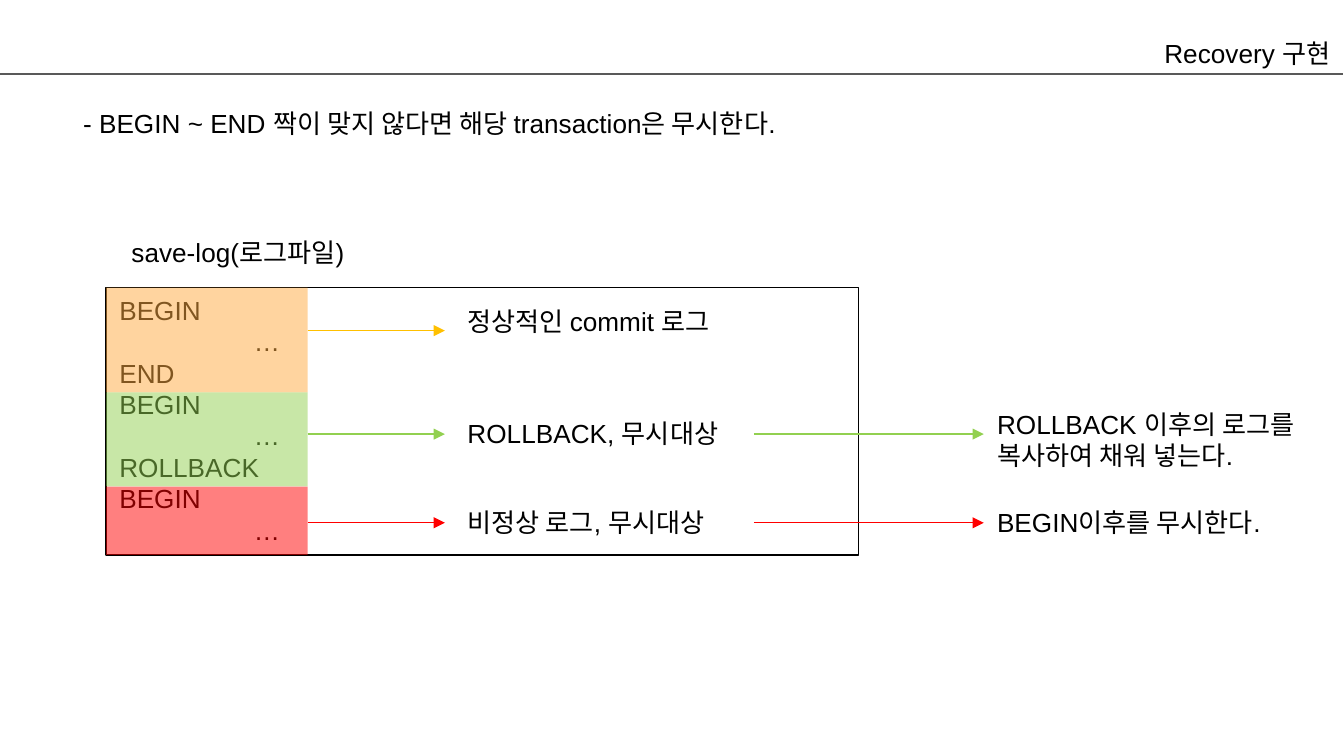
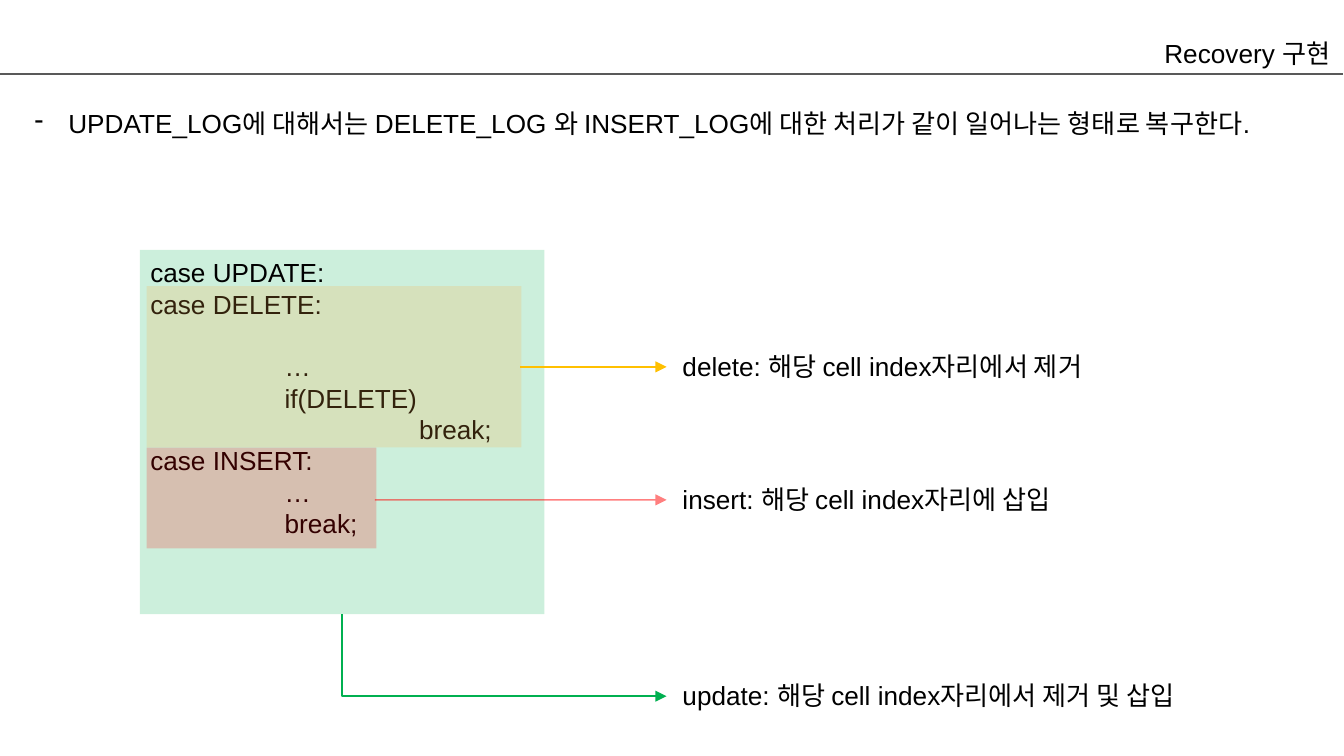
import dataclasses

import lxml.etree
import pptx
import pptx.dml.color
import pptx.enum.shapes
import pptx.enum.text
import pptx.oxml.ns
import pptx.util

Inches = pptx.util.Inches
Align = pptx.enum.text.PP_ALIGN
AutoSize = pptx.enum.text.MSO_AUTO_SIZE
Connector = pptx.enum.shapes.MSO_CONNECTOR
qn = pptx.oxml.ns.qn


@dataclasses.dataclass(frozen=True)
class Theme:
    """Colours and type sizes of the whole deck."""
    font: str = "Arial"
    size: float = 14
    code_line: float = 16.8
    line: float = 0.75
    ink: str = "000000"
    rule: str = "595959"
    orange: str = "FFAB40"
    amber: str = "FFC000"
    lime: str = "92D050"
    green: str = "00B050"
    red: str = "FF0000"


@dataclasses.dataclass(frozen=True)
class Box:
    """A region in inches; inner() gives a box relative to it."""
    left: float
    top: float
    width: float
    height: float

    def inner(self, dx, dy, width, height):
        return Box(self.left + dx, self.top + dy, width, height)

    def point(self, dx, dy):
        return self.left + dx, self.top + dy

    def lengths(self):
        return [Inches(v) for v in (self.left, self.top, self.width, self.height)]


THEME = Theme()


def rgb(color):
    """Turn a hex string into a colour."""
    return pptx.dml.color.RGBColor.from_string(color)


def set_alpha(parent, percent):
    """Make the first plain colour under parent translucent."""
    tint = parent.find(".//" + qn("a:srgbClr"))
    lxml.etree.SubElement(tint, qn("a:alpha")).set("val", str(percent * 1000))


def write(frame, lines, align=Align.LEFT, pad=0.05, grow=True, bullet=None):
    """Fill a text frame; a line is text or (text, indent in inches, lines skipped)."""
    frame.word_wrap = True
    frame.auto_size = AutoSize.SHAPE_TO_FIT_TEXT if grow else AutoSize.NONE
    frame.vertical_anchor = pptx.enum.text.MSO_ANCHOR.TOP
    frame.margin_left = frame.margin_right = Inches(0.1)
    frame.margin_top = frame.margin_bottom = Inches(pad)
    for number, line in enumerate([lines] if isinstance(lines, str) else lines):
        text, indent, skipped = (line, 0, 0) if isinstance(line, str) else line
        paragraph = frame.add_paragraph() if number else frame.paragraphs[0]
        paragraph.alignment = align
        if skipped:
            paragraph.space_before = pptx.util.Pt(skipped * THEME.code_line)
        properties = paragraph._p.get_or_add_pPr()
        if indent:
            properties.set("marL", str(Inches(indent)))
            properties.set("indent", "0")
        if bullet:
            properties.set("marL", str(Inches(0.5)))
            properties.set("indent", str(Inches(-0.25)))
            lxml.etree.SubElement(properties, qn("a:buChar")).set("char", bullet)
        run = paragraph.add_run()
        run.text = text
        run.font.name = THEME.font
        run.font.size = pptx.util.Pt(THEME.size)
        run.font.color.rgb = rgb(THEME.ink)


def add_text(slide, box, lines, **style):
    """Place a text box."""
    write(slide.shapes.add_textbox(*box.lengths()).text_frame, lines, **style)


def add_area(slide, box, fill=None, alpha=100, outline=None):
    """Place a rectangle, translucent or only outlined."""
    area = slide.shapes.add_shape(
        pptx.enum.shapes.MSO_SHAPE.RECTANGLE, *box.lengths())
    area.shadow.inherit = False
    if fill:
        area.fill.solid()
        area.fill.fore_color.rgb = rgb(fill)
        set_alpha(area.element.spPr, alpha)
    else:
        area.fill.background()
    if outline:
        area.line.color.rgb = rgb(outline)
        area.line.width = pptx.util.Pt(THEME.line)
    else:
        area.line.fill.background()
    return area


def add_line(slide, start, end, color, arrow=True, alpha=None, bent=False):
    """Draw a line; a bent one goes down first, then to the right."""
    (x1, y1), (x2, y2) = start, end
    if bent:
        # A one-corner elbow is stored turned by 270 degrees about its centre.
        cx, cy, dx, dy = (x1 + x2) / 2, (y1 + y2) / 2, (x2 - x1) / 2, (y2 - y1) / 2
        x1, y1, x2, y2 = cx + dy, cy - dx, cx - dy, cy + dx
    line = slide.shapes.add_connector(
        Connector.ELBOW if bent else Connector.STRAIGHT,
        Inches(x1), Inches(y1), Inches(x2), Inches(y2))
    line.line.color.rgb = rgb(color)
    line.line.width = pptx.util.Pt(THEME.line)
    properties = line._element.spPr
    if bent:
        properties.find(qn("a:xfrm")).set("rot", str(270 * 60000))
        properties.find(qn("a:prstGeom")).set("prst", "bentConnector2")
    if alpha:
        set_alpha(properties, alpha)
    if arrow:
        stroke = properties.find(qn("a:ln"))
        lxml.etree.SubElement(stroke, qn("a:tailEnd")).set("type", "triangle")
    lxml.etree.SubElement(properties, qn("a:effectLst"))


def start_slide(deck, title):
    """Add a slide with its title above the header rule."""
    slide = deck.slides.add_slide(deck.slide_layouts[5])
    heading = slide.shapes.title
    heading.left, heading.top, heading.width, heading.height = Box(
        1.78, 0.18, 8.22, 0.37).lengths()
    write(heading.text_frame, title, align=Align.RIGHT, pad=0.1, grow=False)
    add_line(slide, (-0.02, 0.55), (9.99, 0.55), THEME.rule, arrow=False)
    return slide


def draw_log_file(slide, box):
    """Draw the log file, its three kinds of entries and what becomes of them."""
    log = add_area(slide, box, outline=THEME.ink)
    write(log.text_frame, ["BEGIN", ("…", 1, 0), "END",
                           "BEGIN", ("…", 1, 0), "ROLLBACK",
                           "BEGIN", ("…", 1, 0)])
    add_text(slide, box.inner(0.09, -0.43, 2.26, 0.34), "save-log(로그파일)")

    entry_width, note_left, outcome_left = 1.5, 2.59, 6.53
    # height, fill, arrow colour, arrow y, meaning, its width and y,
    # outcome, its y and height
    entries = [
        (0.78, THEME.orange, THEME.amber, 0.32,
         "정상적인 commit 로그", 2.46, 0.08, None, 0, 0),
        (0.70, THEME.lime, THEME.lime, 1.09,
         "ROLLBACK, 무시대상", 2.22, 0.92,
         "ROLLBACK 이후의 로그를 복사하여 채워 넣는다.", 0.85, 0.57),
        (0.51, THEME.red, THEME.red, 1.75,
         "비정상 로그, 무시대상", 2.22, 1.58,
         "BEGIN이후를 무시한다.", 1.58, 0.34),
    ]
    top = 0
    for (height, fill, color, arrow_y, meaning, note_width, note_y,
         outcome, outcome_y, outcome_height) in entries:
        add_area(slide, box.inner(0, top, entry_width, height), fill, 50)
        top += height
        add_line(slide, box.point(entry_width, arrow_y),
                 box.point(2.52, arrow_y), color)
        add_text(slide, box.inner(note_left, note_y, note_width, 0.34), meaning)
        if outcome:
            add_line(slide, box.point(4.82, arrow_y),
                     box.point(outcome_left, arrow_y), color)
            add_text(slide, box.inner(outcome_left, outcome_y, 2.68, outcome_height),
                     outcome)


def draw_update_case(slide, box):
    """Draw the switch code, its coloured cases and what each one does."""
    add_area(slide, box, THEME.green, 20)
    add_text(slide, box.inner(-0.02, 0, 3.47, 2.22), [
        "case UPDATE:", "case DELETE:", ("…", 1, 1), ("if(DELETE)", 1, 0),
        ("break;", 2, 0), "case INSERT:", ("…", 1, 0), ("break;", 1, 0)])
    add_area(slide, box.inner(0.05, 0.27, 2.79, 1.2), THEME.orange, 20)
    add_area(slide, box.inner(0.05, 1.47, 1.71, 0.75), THEME.red, 20)

    note_left, arrow_end = 3.94, 3.92
    # arrow start, arrow end y, its format, explanation
    cases = [
        ((2.83, 0.87), 0.87, dict(color=THEME.amber),
         "delete: 해당 cell index자리에서 제거"),
        ((1.75, 1.86), 1.86, dict(color=THEME.red, alpha=50),
         "insert: 해당 cell index자리에 삽입"),
        ((box.width / 2, box.height), 3.32, dict(color=THEME.green, bent=True),
         "update: 해당 cell index자리에서 제거 및 삽입"),
    ]
    for start, end_y, style, explanation in cases:
        add_line(slide, box.point(*start), box.point(arrow_end, end_y), **style)
        add_text(slide, box.inner(note_left, end_y - 0.17, 4.37, 0.34), explanation)


def main():
    """Build and save the deck."""
    deck = pptx.Presentation()
    deck.slide_width = Inches(10)
    deck.slide_height = Inches(10) * 9 // 16

    rollback = start_slide(deck, "Recovery 구현")
    add_text(rollback, Box(0.52, 0.7, 7.11, 0.55),
             "- BEGIN ~ END 짝이 맞지 않다면 해당 transaction은 무시한다.",
             pad=0.1, grow=False)
    draw_log_file(rollback, Box(0.79, 2.14, 5.6, 1.99))

    update = start_slide(deck, "Recovery 구현")
    add_text(update, Box(-0.09, 0.7, 10.09, 0.39),
             "UPDATE_LOG에 대해서는 DELETE_LOG 와 INSERT_LOG에 대한 처리가 "
             "같이 일어나는 형태로 복구한다.",
             pad=0.1, grow=False, bullet="-")
    draw_update_case(update, Box(1.04, 1.86, 3.01, 2.71))

    deck.save("out.pptx")


main()
